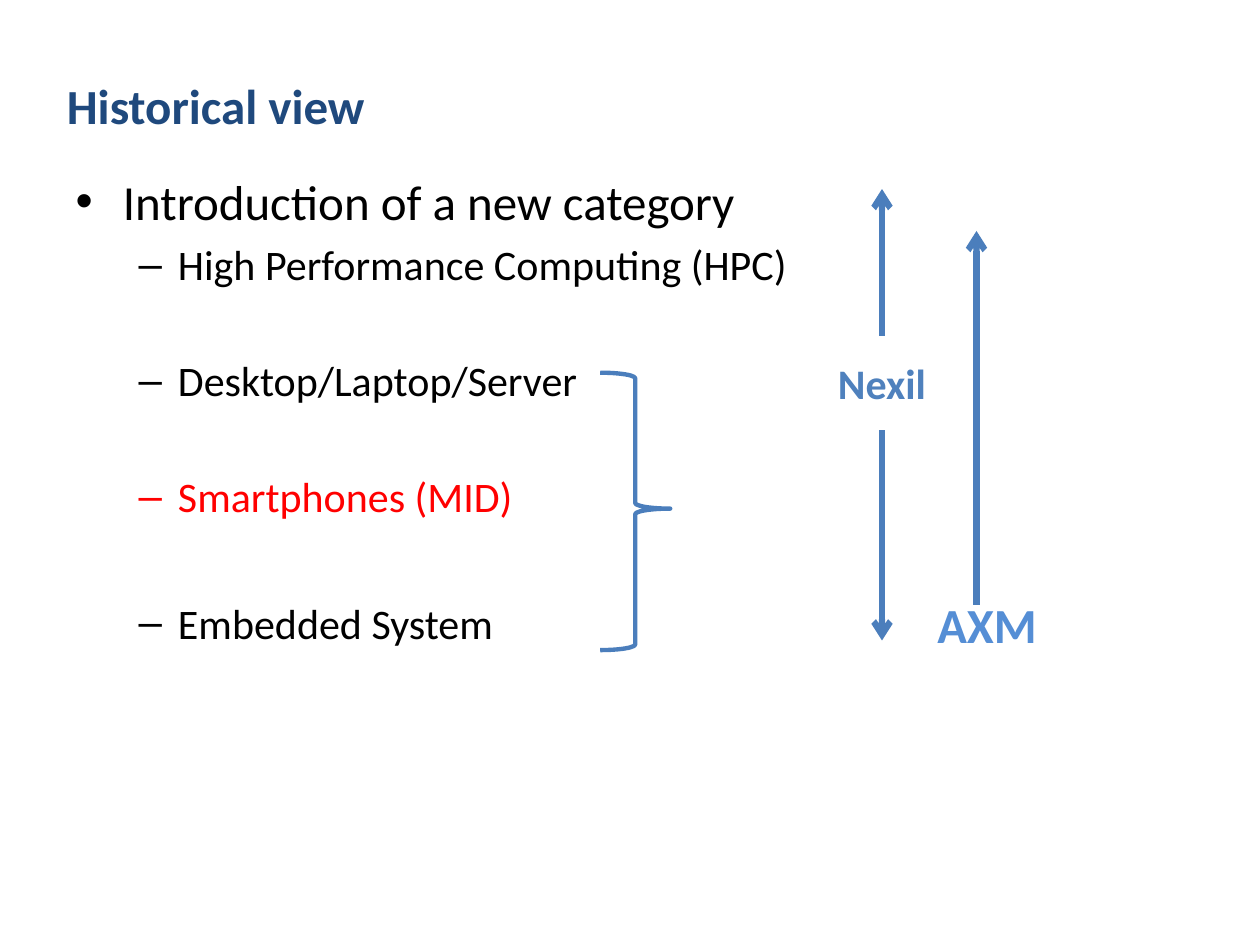
"""Build the slide on the historical view of computing categories."""
from dataclasses import dataclass

from lxml.etree import SubElement
from pptx import Presentation
from pptx.dml.color import RGBColor
from pptx.enum.shapes import MSO_CONNECTOR as Connector, MSO_SHAPE as Shape
from pptx.enum.text import MSO_ANCHOR as Anchor, MSO_AUTO_SIZE as AutoSize, PP_ALIGN as Align
from pptx.oxml.ns import qn
from pptx.slide import Slide
from pptx.util import Pt

FONT = "Calibri"
BLACK, RED, NAVY = "000000", "FF0000", "1F497D"
BLUE, LIGHT_BLUE, STROKE = "4F81BD", "558ED5", "4B7EBC"


@dataclass(frozen=True)
class Category:
    text: str
    level: int = 1
    size: float = 24
    color: str = BLACK
    space_before: float | None = None


@dataclass(frozen=True)
class Arrow:
    x: float
    start: float
    tip: float


@dataclass(frozen=True)
class Vendor:
    text: str
    center_x: float
    center_y: float
    size: float
    color: str


CATEGORIES = [
    Category("Introduction of a new category", level=0, size=28, space_before=0),
    Category("High Performance Computing (HPC)"),
    Category("Desktop/Laptop/Server", space_before=37.6),
    Category("Smartphones (MID)", color=RED, space_before=37.6),
    Category("Embedded System", space_before=43.3),
]
ARROWS = [Arrow(504, 246, 366), Arrow(558, 345.6, 132), Arrow(504, 192, 108)]
VENDORS = [
    Vendor("Nexil", 504, 218.5, 24, BLUE),
    Vendor("AXM", 564, 356.6, 28, LIGHT_BLUE),
]


def rgb(color: str) -> RGBColor:
    return RGBColor.from_string(color)


def write(paragraph, text: str, *, size: float, color: str, bold: bool = False,
          align=Align.LEFT, level: int = 0, space_before: float | None = None) -> None:
    paragraph.level = level
    paragraph.alignment = align
    if space_before is not None:
        paragraph.space_before = Pt(space_before)
    run = paragraph.add_run()
    run.text = text
    run.font.name = FONT
    run.font.size = Pt(size)
    run.font.bold = bold
    run.font.color.rgb = rgb(color)


def place(part, left: float, top: float, width: float, height: float) -> None:
    part.left, part.top = Pt(left), Pt(top)
    part.width, part.height = Pt(width), Pt(height)


def draw_title(slide: Slide) -> None:
    title = slide.shapes.title
    place(title, 31, 15, 648, 90)
    title.text_frame.auto_size = AutoSize.NONE
    title.text_frame.vertical_anchor = Anchor.MIDDLE
    write(title.text_frame.paragraphs[0], "Historical view", size=28, color=NAVY, bold=True)


def draw_categories(slide: Slide, categories: list[Category]) -> None:
    body = slide.placeholders[1]
    place(body, 36, 94.3, 648, 388)
    frame = body.text_frame
    frame.auto_size = AutoSize.NONE
    for index, category in enumerate(categories):
        paragraph = frame.add_paragraph() if index else frame.paragraphs[0]
        write(paragraph, category.text, size=category.size, color=category.color,
              level=category.level, space_before=category.space_before)


def draw_arrow(slide: Slide, arrow: Arrow) -> None:
    connector = slide.shapes.add_connector(
        Connector.STRAIGHT, Pt(arrow.x), Pt(arrow.start), Pt(arrow.x), Pt(arrow.tip))
    connector.line.color.rgb = rgb(STROKE)
    connector.line.width = Pt(3.5)
    properties = connector._element.spPr
    SubElement(properties.find(qn("a:ln")), qn("a:tailEnd"), type="arrow")
    SubElement(properties, qn("a:effectLst"))


def draw_brace(slide: Slide) -> None:
    brace = slide.shapes.add_shape(Shape.RIGHT_BRACE, Pt(343), Pt(213), Pt(40), Pt(158.5))
    brace.adjustments[0], brace.adjustments[1] = 0.08, 0.49
    brace.shadow.inherit = False
    brace.fill.background()
    brace.line.color.rgb = rgb(STROKE)
    brace.line.width = Pt(2.5)


def draw_vendor(slide: Slide, vendor: Vendor) -> None:
    width, height = 90, 36
    label = slide.shapes.add_textbox(
        Pt(vendor.center_x - width / 2), Pt(vendor.center_y - height / 2), Pt(width), Pt(height))
    frame = label.text_frame
    frame.word_wrap = True
    frame.vertical_anchor = Anchor.MIDDLE
    frame.margin_top = frame.margin_bottom = 0
    write(frame.paragraphs[0], vendor.text, size=vendor.size, color=vendor.color,
          bold=True, align=Align.CENTER)


def main() -> None:
    deck = Presentation()
    deck.slide_width, deck.slide_height = Pt(720), Pt(540)
    slide = deck.slides.add_slide(deck.slide_layouts[1])
    draw_title(slide)
    draw_categories(slide, CATEGORIES)
    for arrow in ARROWS:
        draw_arrow(slide, arrow)
    draw_brace(slide)
    for vendor in VENDORS:
        draw_vendor(slide, vendor)
    deck.save("out.pptx")


if __name__ == "__main__":
    main()
